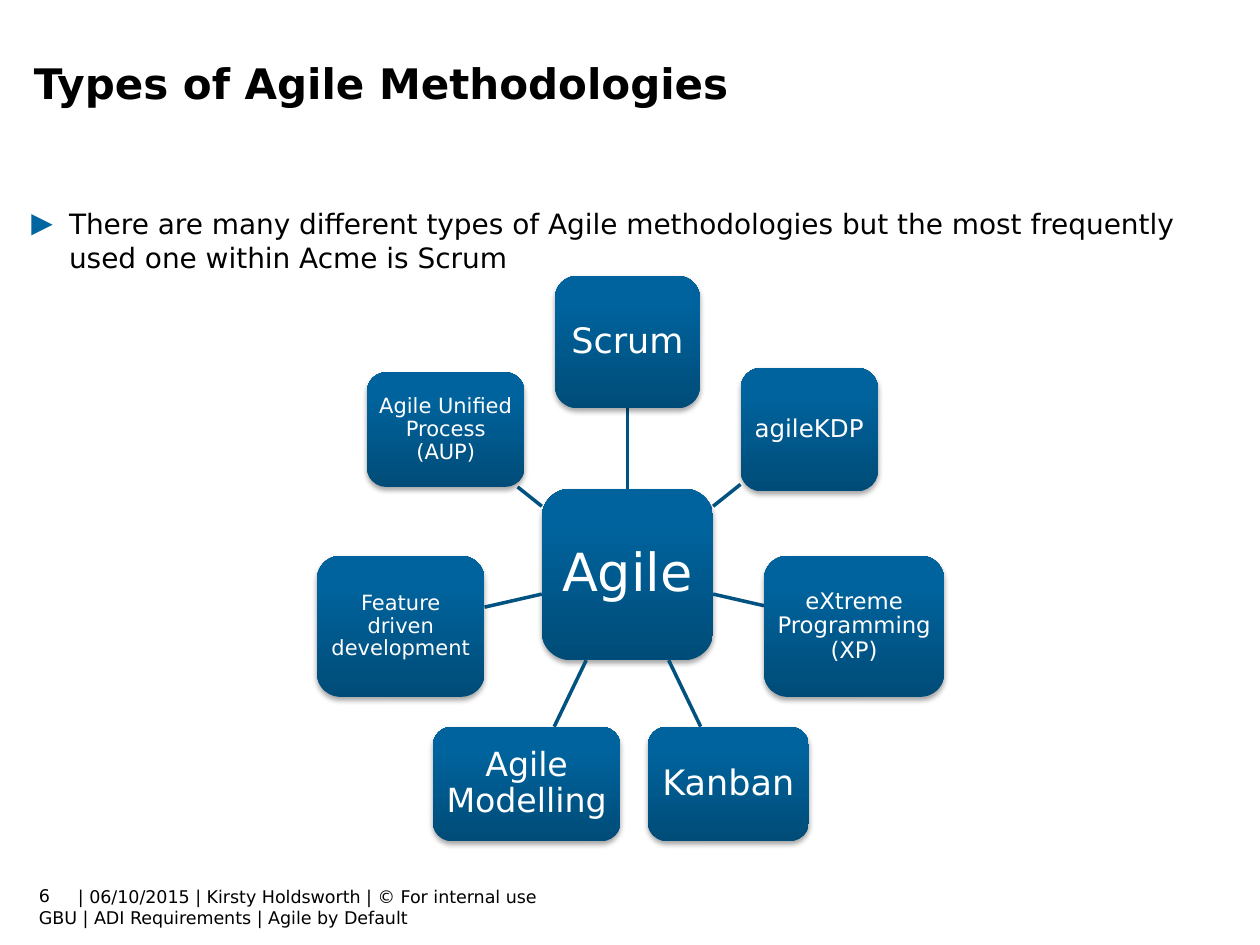
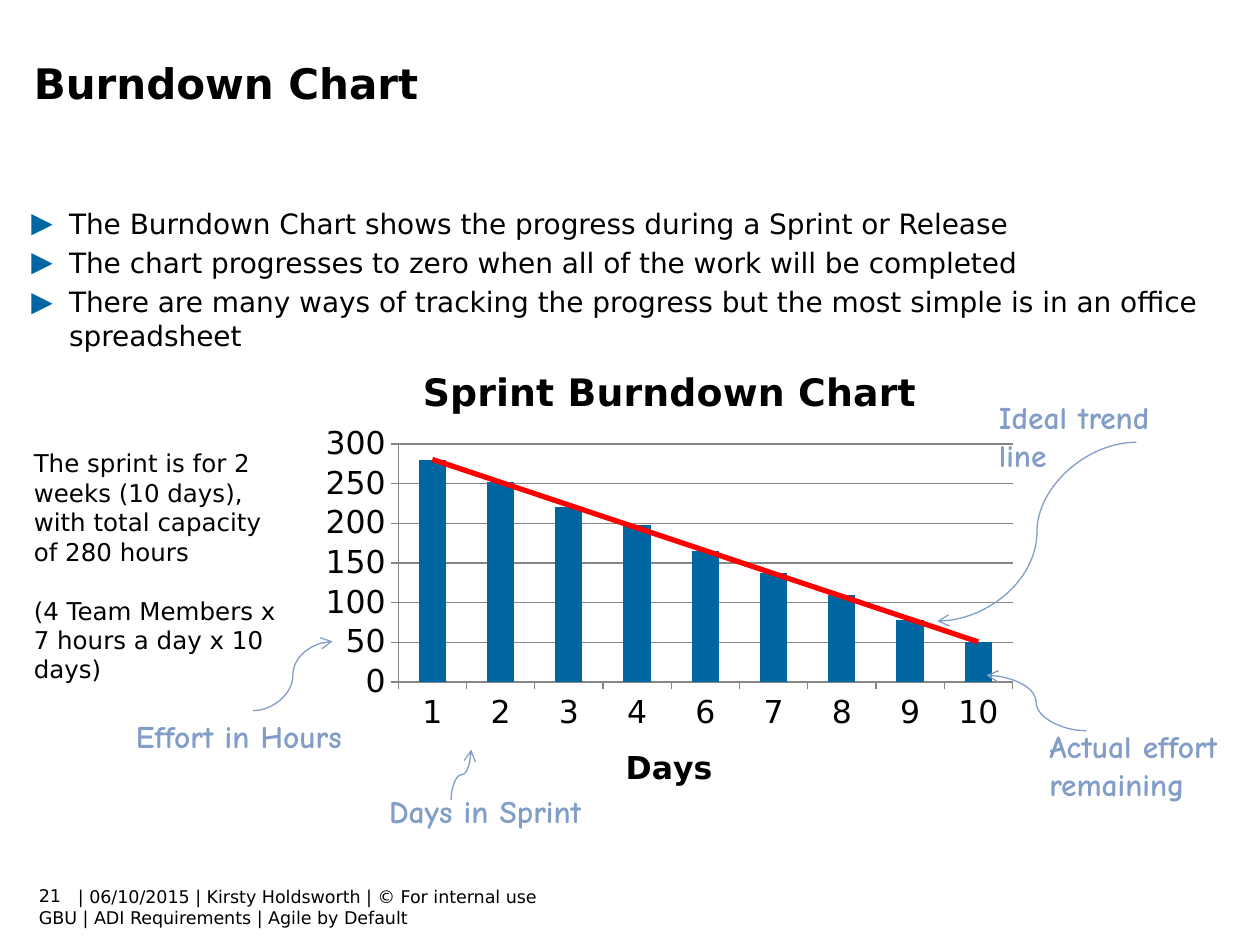
"""Build two agile training slides: a methodology wheel and a burndown chart."""
import math
from dataclasses import dataclass

from lxml import etree
from pptx import Presentation
from pptx import util as u
from pptx.chart.data import CategoryChartData
from pptx.dml.color import RGBColor
from pptx.enum import chart as charts, shapes, text
from pptx.oxml.ns import qn

BLACK, WHITE, BLUE, RED = "000000", "FFFFFF", "0066A1", "FF0000"
NODE_DARK, NODE_LIGHT, SPOKE, NOTE, AXIS = "004C78", "00639D", "005281", "829DC7", "868686"
SANS, HAND = "DejaVu Sans", "Comic Neue"
COLUMNS, ROWS = 100, 75


@dataclass(frozen=True)
class Box:
    """A rectangle in grid cells."""
    left: float
    top: float
    width: float
    height: float

    def lengths(self) -> tuple:
        """Return the rectangle as slide lengths."""
        return tuple(map(grid, (self.left, self.top, self.width, self.height)))


@dataclass(frozen=True)
class Style:
    """The look of a run of text."""
    size: float
    color: str = BLACK
    font: str = SANS
    bold: bool = False


@dataclass(frozen=True)
class Line:
    """A paragraph with its indent in cells and its space before in points."""
    words: str
    indent: float = 0
    before: float = 0


@dataclass(frozen=True)
class Node:
    """A rounded tile of the wheel, sized in grid cells."""
    label: str
    width: float
    height: float
    size: float


@dataclass(frozen=True)
class Arrow:
    """A curved arrow between two grid points."""
    start: tuple
    end: tuple
    upright: bool = False


TITLE, BODY, SMALL = Style(24, bold=True), Style(16), Style(10)
ASIDE, CALLOUT = Style(14), Style(18, NOTE, HAND, True)
FOOTER = [Line("| 06/10/2015 | Kirsty Holdsworth | © For internal use", 3.1),
          Line("GBU | ADI Requirements | Agile by Default")]

HUB, HUB_CENTER, RADIUS = Node("Agile", 13.6, 13.6, 30), (49.8, 45.6), 18.45
METHODS = [
    Node("Scrum", 11.5, 10.5, 20),
    Node("agileKDP", 10.9, 9.8, 14),
    Node("eXtreme Programming (XP)", 14.3, 11.2, 13),
    Node("Kanban", 12.8, 9.1, 20),
    Node("Agile Modelling", 14.9, 9.1, 19),
    Node("Feature driven development", 13.3, 11.2, 12),
    Node("Agile Unified Process (AUP)", 12.5, 9.1, 12),
]

EFFORT = {"1": 280, "2": 252, "3": 220, "4": 198, "6": 165, "7": 137, "8": 109, "9": 78, "10": 50}
CALLOUTS = [
    (Box(78.3, 31.1, 18, 4), [Line("Ideal trend line")]),
    (Box(9.8, 56.4, 38.5, 10.1), [Line("Effort in Hours"), Line("Days in Sprint", 20.1, 21.5)]),
    (Box(82.3, 57.2, 16.2, 7.1), [Line("Actual effort"), Line("remaining")]),
]
ARROWS = [
    Arrow((90.2, 35.1), (74.4, 49.3)),
    Arrow((20.1, 56.4), (26.4, 50.9)),
    Arrow((35.8, 63.5), (37.4, 59.5), upright=True),
    Arrow((86.2, 58), (78.3, 53.6)),
]


def grid(cells: float) -> int:
    """Turn grid cells into a slide length."""
    return u.Inches(cells * 10 / COLUMNS)


def rgb(color: str) -> RGBColor:
    """Turn a hex string into a colour."""
    return RGBColor.from_string(color)


def add(parent, tag: str, **attributes):
    """Append an XML child with the given attributes."""
    return etree.SubElement(parent, qn(tag), {key: str(value) for key, value in attributes.items()})


def set_font(font, style: Style) -> None:
    """Apply a style to a font."""
    font.size, font.name, font.bold = u.Pt(style.size), style.font, style.bold
    font.color.rgb = rgb(style.color)


def write(slide, box: Box, lines: list, style: Style, anchor=text.MSO_ANCHOR.TOP):
    """Add a wrapped text box and return its frame."""
    frame = slide.shapes.add_textbox(*box.lengths()).text_frame
    frame.word_wrap, frame.vertical_anchor = True, anchor
    frame.text = "\n".join(line.words for line in lines)
    for paragraph, line in zip(frame.paragraphs, lines):
        paragraph.space_before = u.Pt(line.before)
        paragraph._p.get_or_add_pPr().set("marL", str(grid(line.indent)))
        set_font(paragraph.runs[0].font, style)
    return frame


def add_bullets(slide, points: list) -> None:
    """Write the bulleted body text."""
    lines = [Line(point, 3, 0.2 * BODY.size) for point in points]
    for paragraph in write(slide, Box(1.5, 15.9, 95.7, 50.7), lines, BODY).paragraphs:
        properties = paragraph._p.get_or_add_pPr()
        properties.set("indent", str(-grid(3)))
        add(add(properties, "a:buClr"), "a:srgbClr", val=BLUE)
        add(properties, "a:buFont", typeface=SANS)
        add(properties, "a:buChar", char="▶")


def add_page(deck, title: str, number: int, points: list):
    """Add a slide with footer, title, bullets and page number."""
    slide = deck.slides.add_slide(deck.slide_layouts[6])
    write(slide, Box(2.1, 69.8, 44.2, 4.4), FOOTER, SMALL)
    write(slide, Box(1.7, 4.1, 95.7, 8.3), [Line(title)], TITLE)
    add_bullets(slide, points)
    write(slide, Box(2.1, 69.1, 7, 4), [Line(str(number))], SMALL, text.MSO_ANCHOR.MIDDLE)
    return slide


def connect(slide, kind, start: tuple, end: tuple, color: str, width: float):
    """Draw a connector without shadow between two grid points."""
    connector = slide.shapes.add_connector(kind, *map(grid, (*start, *end)))
    connector.line.color.rgb, connector.line.width = rgb(color), u.Pt(width)
    add(connector._element.spPr, "a:effectLst")
    return connector


def add_node(slide, node: Node, center: tuple) -> None:
    """Draw a shaded tile around its centre."""
    box = Box(center[0] - node.width / 2, center[1] - node.height / 2, node.width, node.height)
    tile = slide.shapes.add_shape(shapes.MSO_SHAPE.ROUNDED_RECTANGLE, *box.lengths())
    tile.line.fill.background()
    tile.fill.gradient()
    tile.fill.gradient_angle = 90
    for stop, color, position in zip(tile.fill.gradient_stops, (NODE_DARK, NODE_LIGHT), (0, 0.8)):
        stop.color.rgb, stop.position = rgb(color), position
    tile.shadow.inherit = False
    shadow = add(tile._element.spPr.find(qn("a:effectLst")), "a:outerShdw", blurRad=u.Pt(3.1),
                 dist=u.Pt(1.8), dir=5400000, rotWithShape=0)
    add(add(shadow, "a:srgbClr", val=BLACK), "a:alpha", val=35000)
    frame = tile.text_frame
    frame.word_wrap, frame.vertical_anchor = True, text.MSO_ANCHOR.MIDDLE
    frame.margin_left = frame.margin_right = u.Pt(0.2 * node.size)
    frame.margin_top = frame.margin_bottom = u.Pt(0.2 * node.size)
    frame.text = node.label
    label = frame.paragraphs[0]
    label.alignment, label.line_spacing = text.PP_ALIGN.CENTER, 0.9
    set_font(label.runs[0].font, Style(node.size, WHITE))


def edge_point(node: Node, center: tuple, toward: tuple) -> tuple:
    """Find where the way toward another point leaves the tile."""
    dx, dy = toward[0] - center[0], toward[1] - center[1]
    share = 0.5 / max(abs(dx) / node.width, abs(dy) / node.height)
    return center[0] + share * dx, center[1] + share * dy


def add_wheel(slide) -> None:
    """Draw the hub with the methods evenly spread around it."""
    add_node(slide, HUB, HUB_CENTER)
    for place, method in enumerate(METHODS):
        angle = math.tau * place / len(METHODS)
        center = (HUB_CENTER[0] + RADIUS * math.sin(angle), HUB_CENTER[1] - RADIUS * math.cos(angle))
        connect(slide, shapes.MSO_CONNECTOR.STRAIGHT, edge_point(HUB, HUB_CENTER, center),
                edge_point(method, center, HUB_CENTER), SPOKE, 2)
        add_node(slide, method, center)


def add_arrow(slide, arrow: Arrow) -> None:
    """Draw a curved arrow, turned a quarter when it leaves upright."""
    start, end = arrow.start, arrow.end
    if arrow.upright:
        middle_x, middle_y = (start[0] + end[0]) / 2, (start[1] + end[1]) / 2
        start, end = [(middle_x + y - middle_y, middle_y - x + middle_x) for x, y in (start, end)]
    curve = connect(slide, shapes.MSO_CONNECTOR.CURVE, start, end, NOTE, 0.75)
    properties = curve._element.spPr
    add(properties.find(qn("a:ln")), "a:tailEnd", type="arrow")
    if arrow.upright:
        properties.find(qn("a:xfrm")).set("rot", "5400000")


def add_trend(series) -> None:
    """Give the series a linear trend line."""
    trend = etree.Element(qn("c:trendline"))
    stroke = add(add(trend, "c:spPr"), "a:ln", w=u.Pt(3))
    add(add(stroke, "a:solidFill"), "a:srgbClr", val=RED)
    add(trend, "c:trendlineType", val="linear")
    add(trend, "c:dispRSqr", val=0)
    add(trend, "c:dispEq", val=0)
    series._element.find(qn("c:cat")).addprevious(trend)


def place_plot(chart, **shares: float) -> None:
    """Fix the inner plot area as shares of the chart."""
    area = chart._chartSpace.chart.plotArea
    for old in area.findall(qn("c:layout")):
        area.remove(old)
    layout = etree.Element(qn("c:layout"))
    manual = add(layout, "c:manualLayout")
    add(manual, "c:layoutTarget", val="inner")
    add(manual, "c:xMode", val="edge")
    add(manual, "c:yMode", val="edge")
    for side, share in shares.items():
        add(manual, f"c:{side}", val=share)
    area.insert(0, layout)


def add_burndown(slide) -> None:
    """Draw the remaining effort per day with its trend."""
    data = CategoryChartData()
    data.categories = list(EFFORT)
    data.add_series("Series 1", list(EFFORT.values()))
    chart = slide.shapes.add_chart(charts.XL_CHART_TYPE.COLUMN_CLUSTERED,
                                   *Box(24.8, 27.3, 56.7, 37.8).lengths(), data).chart
    set_font(chart.font, Style(18))
    chart.has_legend = False
    days, hours = chart.category_axis, chart.value_axis
    for owner, words, size in ((chart, "Sprint Burndown Chart", 21.6), (days, "Days", 18)):
        owner.has_title = True
        title = owner.chart_title if owner is chart else owner.axis_title
        title.text_frame.text = words
        set_font(title.text_frame.paragraphs[0].runs[0].font, Style(size, bold=True))
    chart.chart_title.include_in_layout = False
    hours.has_major_gridlines = True
    hours.minimum_scale, hours.maximum_scale, hours.major_unit = 0, 300, 50
    for stroke in (days.format.line, hours.format.line, hours.major_gridlines.format.line):
        stroke.color.rgb, stroke.width = rgb(AXIS), u.Pt(0.75)
    for axis in (days, hours):
        axis.major_tick_mark = charts.XL_TICK_MARK.OUTSIDE
        axis.minor_tick_mark = charts.XL_TICK_MARK.NONE
    plot = chart.plots[0]
    plot.gap_width, plot.vary_by_categories = 150, False
    effort = plot.series[0]
    effort.format.fill.solid()
    effort.format.fill.fore_color.rgb = rgb(BLUE)
    add_trend(effort)
    place_plot(chart, x=0.12, y=0.21, w=0.86, h=0.5)


def main() -> None:
    """Build and save the slides."""
    deck = Presentation()
    deck.slide_width, deck.slide_height = grid(COLUMNS), grid(ROWS)

    add_wheel(add_page(deck, "Types of Agile Methodologies", 6, [
        "There are many different types of Agile methodologies but the most frequently "
        "used one within Acme is Scrum"]))

    burndown = add_page(deck, "Burndown Chart", 21, [
        "The Burndown Chart shows the progress during a Sprint or Release",
        "The chart progresses to zero when all of the work will be completed",
        "There are many ways of tracking the progress but the most simple is in an office spreadsheet"])
    add_burndown(burndown)
    write(burndown, Box(1.7, 35.1, 22, 19.9), [
        Line("The sprint is for 2 weeks (10 days), with total capacity of 280 hours"),
        Line("(4 Team Members x 7 hours a day x 10 days)", before=16.8)], ASIDE)
    for box, lines in CALLOUTS:
        write(burndown, box, lines, CALLOUT)
    for arrow in ARROWS:
        add_arrow(burndown, arrow)
    deck.save("out.pptx")


main()
